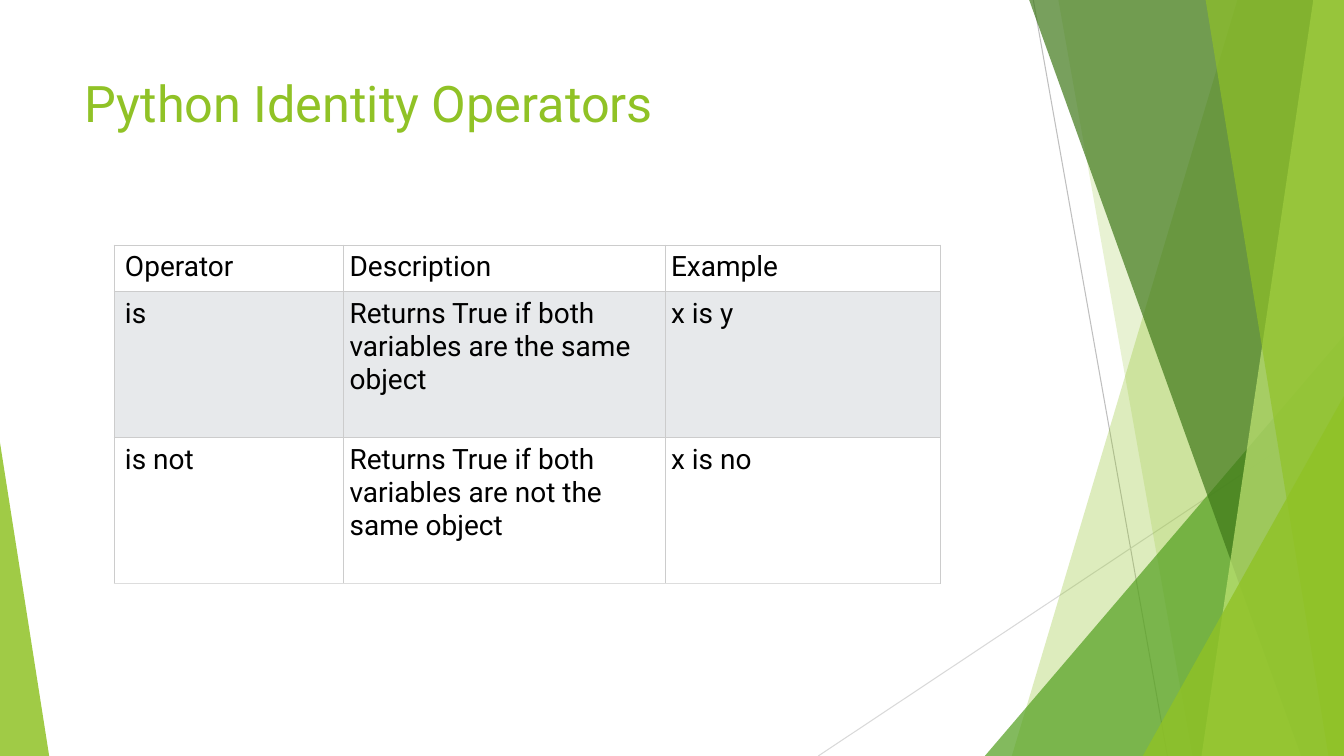
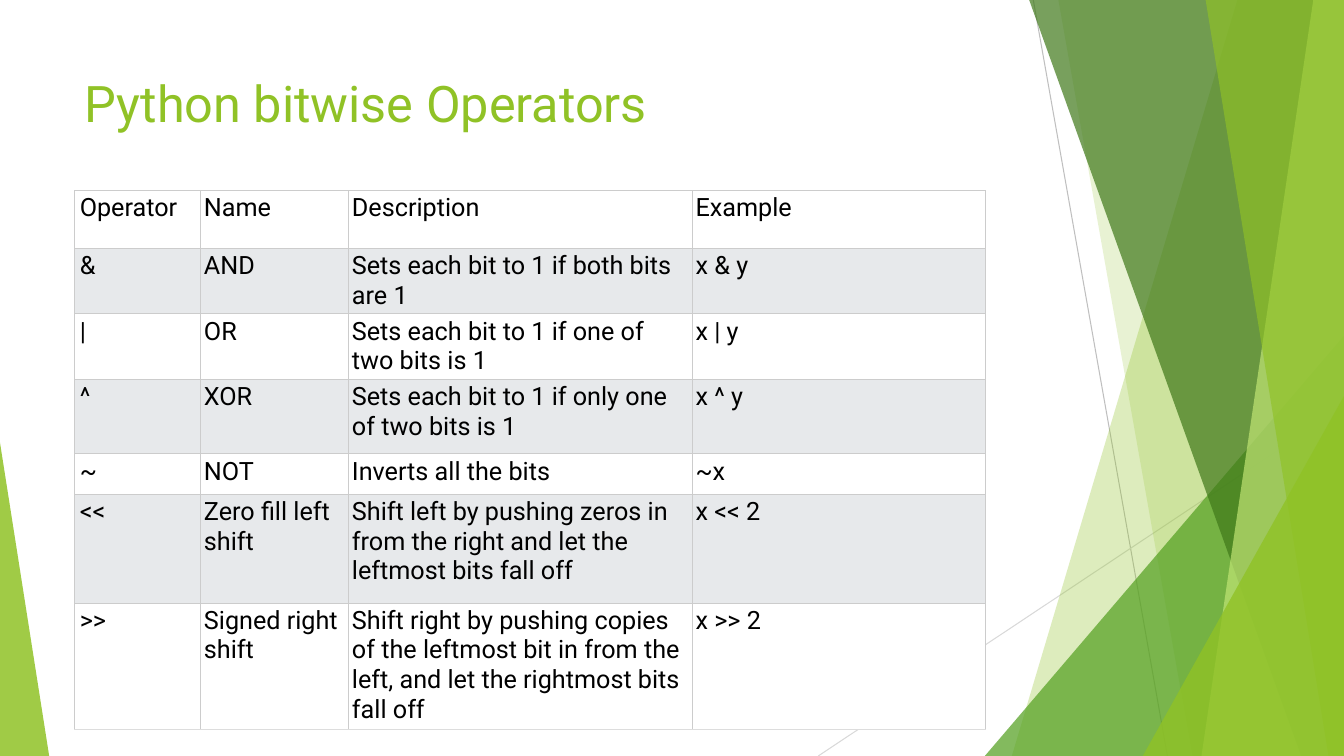
"""Builds two slides about Python operators."""
import lxml.etree
import pptx
import pptx.dml.color
import pptx.enum.shapes
import pptx.enum.text
import pptx.oxml.ns
import pptx.util

Cm = pptx.util.Cm
Pt = pptx.util.Pt
qn = pptx.oxml.ns.qn

WIDTH, HEIGHT = 33.87, 19.05
FONT = "Roboto"
GREEN, MID_GREEN, DARK_GREEN, PALE_GREEN = "90C226", "54A021", "3F7819", "C0E474"
WHITE, BLACK, BAND = "FFFFFF", "000000", "E7E9EB"
BORDER, LAST_BORDER = "CCCCCC", "DDDDDD"

IDENTITY_ROWS = [
    ("Operator", "Description", "Example"),
    ("is", "Returns True if both variables are the same object", "x is y"),
    ("is not", "Returns True if both variables are not the same object", "x is no"),
]
BITWISE_ROWS = [
    ("Operator", "Name", "Description", "Example"),
    ("&", "AND", "Sets each bit to 1 if both bits are 1", "x & y"),
    ("|", "OR", "Sets each bit to 1 if one of two bits is 1", "x | y"),
    ("^", "XOR", "Sets each bit to 1 if only one of two bits is 1", "x ^ y"),
    ("~", "NOT", "Inverts all the bits", "~x"),
    ("<<", "Zero fill left shift",
     "Shift left by pushing zeros in from the right and let the leftmost bits fall off",
     "x << 2"),
    (">>", "Signed right shift",
     "Shift right by pushing copies of the leftmost bit in from the left, "
     "and let the rightmost bits fall off",
     "x >> 2"),
]


def rgb(value):
    """Return the colour for a hex string."""
    return pptx.dml.color.RGBColor.from_string(value)


def set_font(paragraph, size, color):
    """Format every run of a paragraph."""
    for run in paragraph.runs:
        run.font.name = FONT
        run.font.size = Pt(size)
        run.font.color.rgb = rgb(color)


def paint(shape, color, opacity):
    """Give a shape a translucent fill with no line or shadow."""
    shape.shadow.inherit = False
    shape.line.fill.background()
    shape.fill.solid()
    shape.fill.fore_color.rgb = rgb(color)
    tint = shape.element.spPr.find(f"{qn('a:solidFill')}/{qn('a:srgbClr')}")
    lxml.etree.SubElement(tint, qn("a:alpha"), val=str(opacity * 1000))


def add_hairline(slide, start, end, color):
    """Draw a thin straight line between two points."""
    hairline = slide.shapes.add_connector(
        pptx.enum.shapes.MSO_CONNECTOR.STRAIGHT,
        *(Cm(length) for length in (*start, *end)))
    hairline.line.color.rgb = rgb(color)
    hairline.line.width = Pt(0.75)
    lxml.etree.SubElement(hairline.element.spPr, qn("a:effectLst"))


def add_shard(slide, top_left, bottom_left, color, opacity):
    """Draw a full-height band that reaches the right edge of the slide."""
    top = -0.02
    outline = slide.shapes.build_freeform(Cm(top_left), Cm(top))
    corners = [(WIDTH, top), (WIDTH, HEIGHT), (bottom_left, HEIGHT)]
    outline.add_line_segments([(Cm(x), Cm(y)) for x, y in corners], close=True)
    paint(outline.convert_to_shape(), color, opacity)


def add_corner(slide, left, top, width, apex, color, opacity):
    """Draw a right triangle that stands on the bottom edge."""
    corner = slide.shapes.add_shape(
        pptx.enum.shapes.MSO_SHAPE.ISOSCELES_TRIANGLE,
        Cm(left), Cm(top), Cm(width), Cm(HEIGHT - top))
    corner.adjustments[0] = apex
    paint(corner, color, opacity)


def add_backdrop(slide):
    """Draw the green facets and move them to the layout of the slide."""
    layout = slide.slide_layout
    for placeholder in list(layout.placeholders):
        if placeholder.placeholder_format.idx != 0:
            layout.shapes.element.remove(placeholder.element)
    add_hairline(slide, (26.04, 0), (29.42, HEIGHT), "BFBFBF")
    add_hairline(slide, (WIDTH, 10.24), (20.62, HEIGHT), "D9D9D9")
    add_shard(slide, 31.19, 25.5, GREEN, 30)
    add_shard(slide, 26.67, 30.05, GREEN, 20)
    add_corner(slide, 24.82, 8.46, WIDTH - 24.82, 1, MID_GREEN, 72)
    add_shard(slide, 25.93, 32.79, DARK_GREEN, 70)
    add_shard(slide, 33.1, 30.28, PALE_GREEN, 70)
    add_shard(slide, 30.38, 33.48, GREEN, 65)
    add_corner(slide, 28.8, 9.98, WIDTH - 28.8, 1, GREEN, 80)
    add_corner(slide, 0, 11.15, 1.24, 0, GREEN, 85)
    for facet in list(slide.shapes):
        if not facet.is_placeholder:
            layout.shapes.element.append(facet.element)


def set_title(slide, text):
    """Place and format the title."""
    title = slide.shapes.title
    title.left, title.top, title.width, title.height = (
        Cm(length) for length in (1.88, 1.7, 23.88, 3.66))
    title.text_frame.text = text
    title.text_frame.vertical_anchor = pptx.enum.text.MSO_ANCHOR.TOP
    heading = title.text_frame.paragraphs[0]
    heading.alignment = pptx.enum.text.PP_ALIGN.LEFT
    set_font(heading, 36, GREEN)


def add_borders(cell, bottom_color):
    """Outline a cell with thin lines."""
    properties = cell._tc.get_or_add_tcPr()
    for side in "LRTB":
        edge = lxml.etree.SubElement(properties, qn(f"a:ln{side}"), w=str(Pt(0.5)))
        fill = lxml.etree.SubElement(edge, qn("a:solidFill"))
        color = bottom_color if side == "B" else BORDER
        lxml.etree.SubElement(fill, qn("a:srgbClr"), val=color)


def fill_cell(cell, text, size, margin, left_margin, color, bottom_color):
    """Write and format one table cell."""
    cell.text_frame.text = text
    set_font(cell.text_frame.paragraphs[0], size, BLACK)
    cell.margin_left = Cm(left_margin)
    cell.margin_right = cell.margin_top = cell.margin_bottom = Cm(margin)
    add_borders(cell, bottom_color)
    cell.fill.solid()
    cell.fill.fore_color.rgb = rgb(color)


def add_operator_table(slide, rows, left, top, widths, heights, size, margin, first_margin):
    """Add a table with alternate grey rows."""
    table = slide.shapes.add_table(
        len(rows), len(widths), Cm(left), Cm(top),
        Cm(sum(widths)), Cm(sum(heights))).table
    table.first_row = table.horz_banding = False
    for column, width in zip(table.columns, widths):
        column.width = Cm(width)
    for row, height in zip(table.rows, heights):
        row.height = Cm(height)
    for r, texts in enumerate(rows):
        color = BAND if r % 2 else WHITE
        bottom_color = LAST_BORDER if r == len(rows) - 1 else BORDER
        for c, text in enumerate(texts):
            left_margin = margin if c else first_margin
            fill_cell(table.cell(r, c), text, size, margin, left_margin, color, bottom_color)


def main():
    """Build and save the presentation."""
    deck = pptx.Presentation()
    deck.slide_width, deck.slide_height = Cm(WIDTH), Cm(HEIGHT)
    title_only = deck.slide_layouts[5]

    identity = deck.slides.add_slide(title_only)
    add_backdrop(identity)
    set_title(identity, "Python Identity Operators")
    add_operator_table(
        identity, IDENTITY_ROWS, 2.87, 6.17, (5.79, 8.1, 6.93),
        (1.17, 3.68, 3.68), size=20, margin=0.15, first_margin=0.28)

    bitwise = deck.slides.add_slide(title_only)
    set_title(bitwise, "Python bitwise Operators")
    add_operator_table(
        bitwise, BITWISE_ROWS, 1.88, 4.8, (3.18, 3.73, 8.66, 7.39),
        (1.45, 1.62, 1.62, 1.88, 1.02, 2.74, 3.18), size=18, margin=0.08, first_margin=0.13)

    deck.save("out.pptx")


if __name__ == "__main__":
    main()
